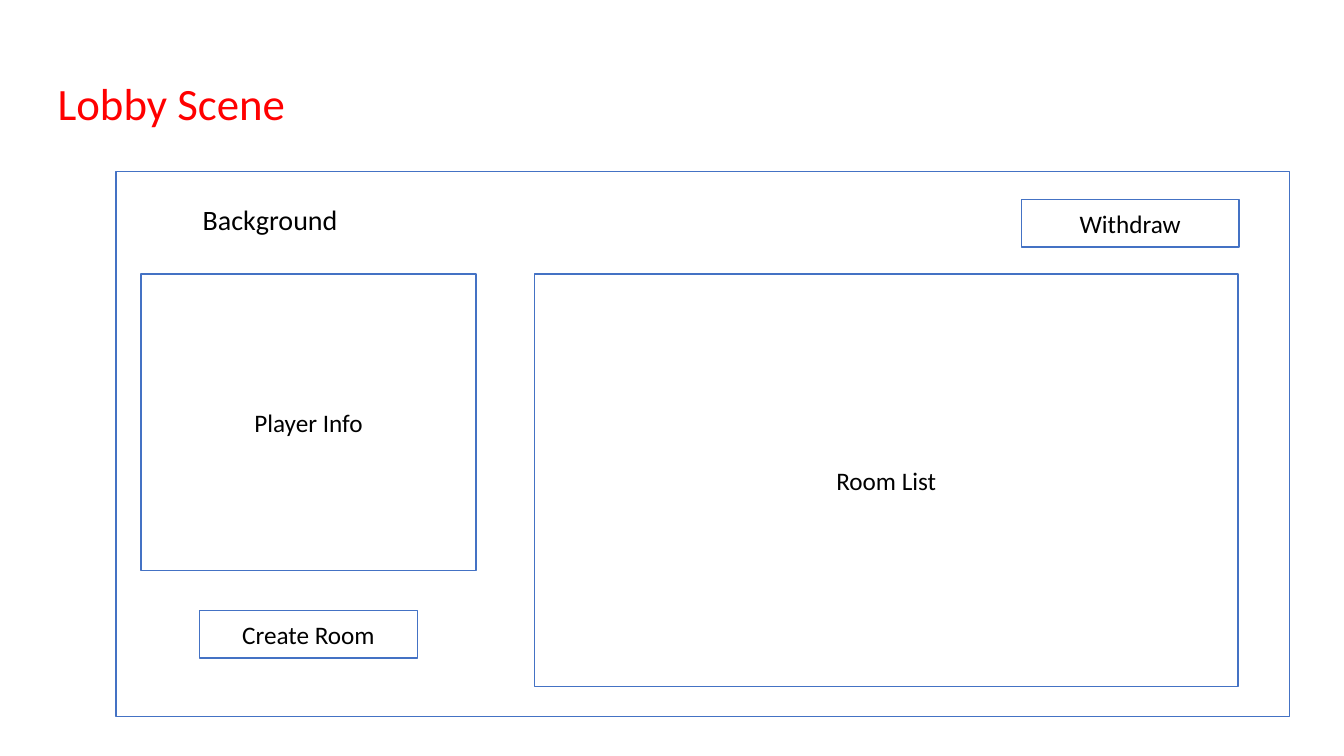
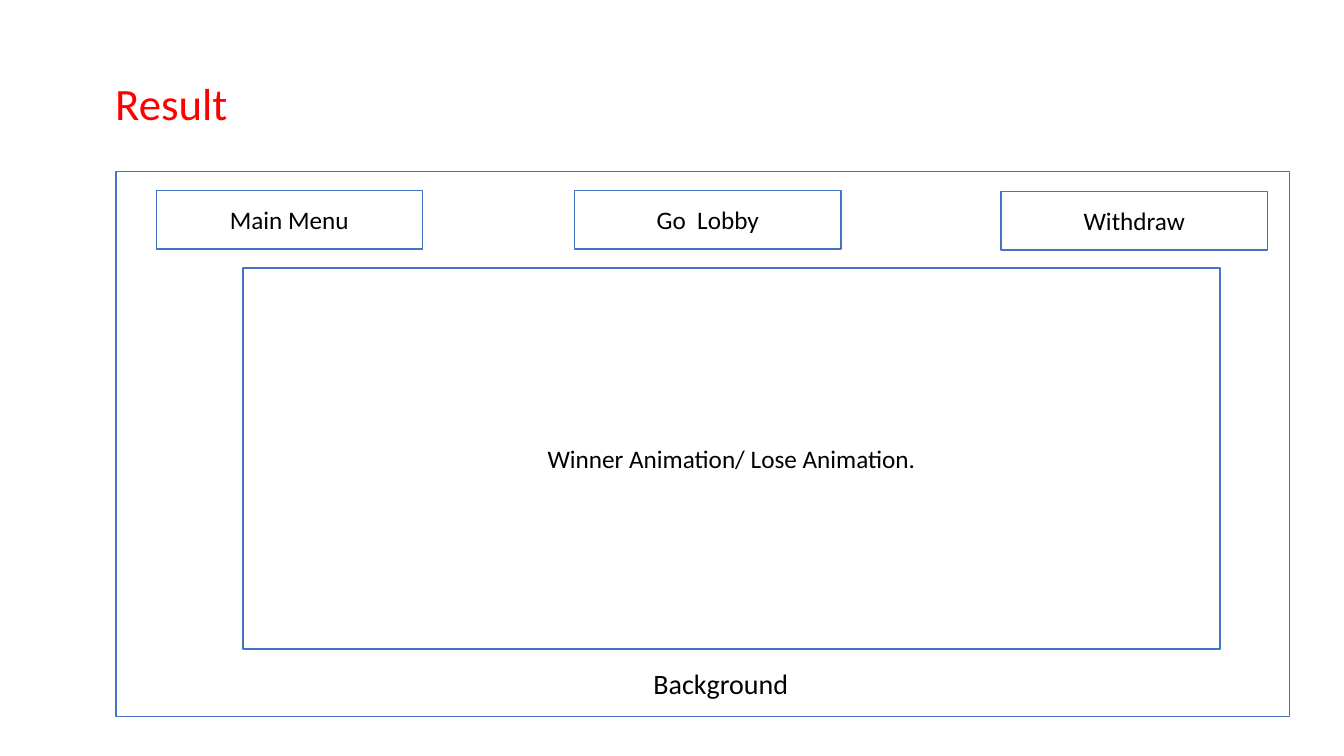
from typing import NamedTuple

from pptx import Presentation, util as u
from pptx.dml.color import RGBColor
from pptx.enum import shapes, text

PX = 9144  # EMU per px, 100 px to the inch
FONT = "Calibri"
WHITE, BLACK, RED, BLUE = "FFFFFF", "000000", "FF0000", "4472C4"
TITLE_ONLY = 5


class Box(NamedTuple):
    left: int
    top: int
    width: int
    height: int
    label: str = ""


class Scene(NamedTuple):
    title: str
    caption: Box
    panels: list[Box]


TITLE_AREA = Box(25, 76, 290, 65)
FRAME = Box(115, 170, 1164, 541)

SCENES = [
    Scene("Lobby Scene", Box(123, 200, 290, 65, "Background"), [
        Box(140, 272, 332, 294, "Player Info"),
        Box(530, 272, 698, 409, "Room List"),
        Box(1013, 198, 216, 47, "Withdraw"),
        Box(198, 606, 216, 47, "Create Room"),
    ]),
    Scene("Result", Box(570, 660, 290, 65, "Background"), [
        Box(241, 266, 969, 378, "Winner Animation/ Lose Animation."),
        Box(993, 190, 264, 58, "Withdraw"),
        Box(155, 189, 264, 58, "Main Menu"),
        Box(570, 189, 264, 58, "Go  Lobby"),
    ]),
]


def color(value: str) -> RGBColor:
    return RGBColor.from_string(value)


def place(box: Box) -> list[u.Emu]:
    """Return left, top, width and height in EMU."""
    return [u.Emu(length * PX) for length in box[:4]]


def write(shape, content: str, size: int, ink: str, anchor) -> None:
    frame = shape.text_frame
    frame.word_wrap = True
    frame.auto_size = text.MSO_AUTO_SIZE.NONE
    frame.vertical_anchor = anchor
    frame.text = content
    paragraph = frame.paragraphs[0]
    paragraph.alignment = text.PP_ALIGN.CENTER
    paragraph.font.name = FONT
    paragraph.font.size = u.Pt(size)
    paragraph.font.color.rgb = color(ink)


def write_heading(shape, content: str, size: int, ink: str) -> None:
    """Write top-anchored text with the heading line spacing."""
    write(shape, content, size, ink, text.MSO_ANCHOR.TOP)
    paragraph = shape.text_frame.paragraphs[0]
    paragraph.line_spacing = 0.9
    paragraph.space_before = u.Pt(10)


def add_title(slide, title: str) -> None:
    shape = slide.shapes.title
    shape.left, shape.top, shape.width, shape.height = place(TITLE_AREA)
    write_heading(shape, title, 32, RED)


def add_panel(slide, box: Box) -> None:
    shape = slide.shapes.add_shape(shapes.MSO_SHAPE.RECTANGLE, *place(box))
    shape.shadow.inherit = False
    shape.fill.solid()
    shape.fill.fore_color.rgb = color(WHITE)
    shape.line.color.rgb = color(BLUE)
    shape.line.width = u.Pt(1)
    if box.label:
        write(shape, box.label, 18, BLACK, text.MSO_ANCHOR.MIDDLE)


def add_scene(presentation, scene: Scene) -> None:
    slide = presentation.slides.add_slide(presentation.slide_layouts[TITLE_ONLY])
    add_title(slide, scene.title)
    for box in [FRAME, *scene.panels]:
        add_panel(slide, box)
    caption = slide.shapes.add_textbox(*place(scene.caption))
    write_heading(caption, scene.caption.label, 20, BLACK)


def main() -> None:
    presentation = Presentation()
    presentation.slide_width = u.Inches(13.33)
    presentation.slide_height = u.Inches(7.5)
    for scene in SCENES:
        add_scene(presentation, scene)
    presentation.save("out.pptx")


if __name__ == "__main__":
    main()
